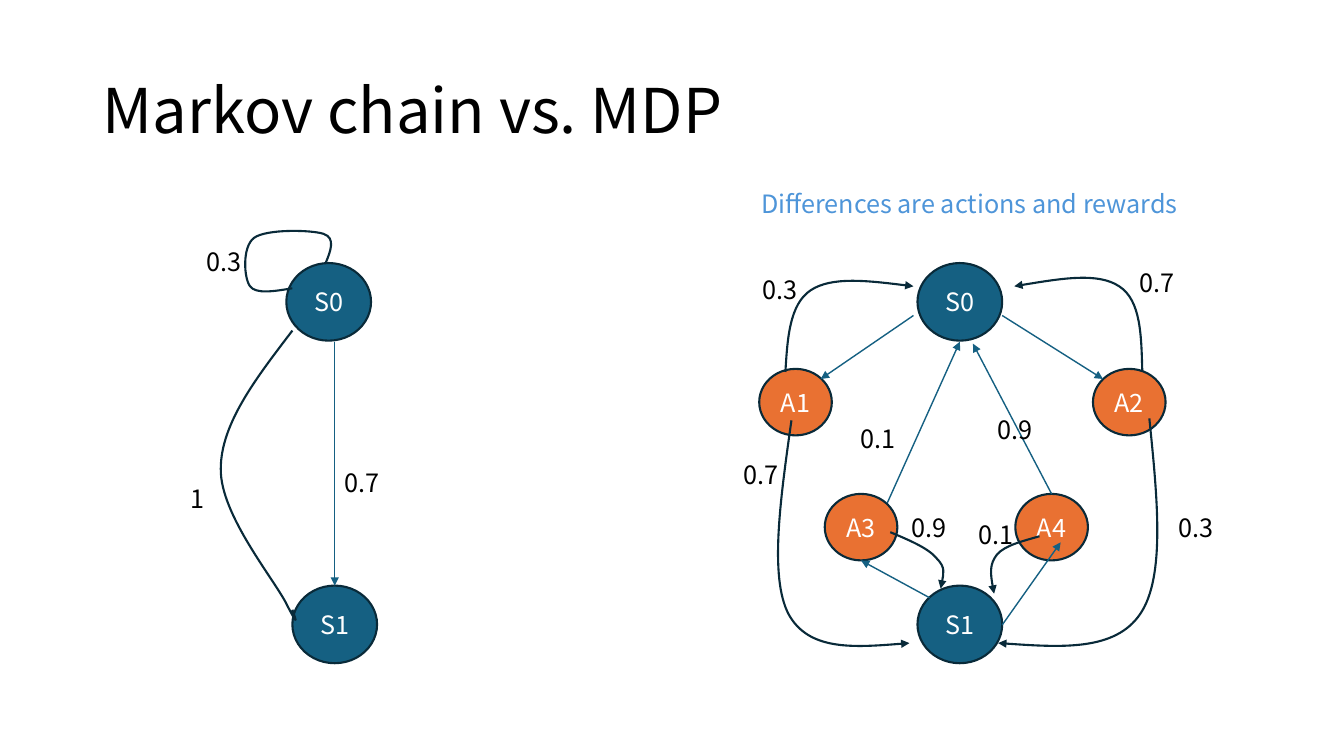
"""Builds a slide that compares a Markov chain with a Markov decision process."""
from lxml import etree
from pptx import Presentation
from pptx.dml.color import RGBColor
from pptx.enum import shapes, text
from pptx.oxml import ns
from pptx.util import Inches, Pt

FONT = "Noto Sans CJK KR"
COLORS = {"state": "156082", "action": "E97132", "outline": "092A39",
          "black": "000000", "white": "FFFFFF", "caption": "4E95D9"}
SIZES = {"state": (0.84, 0.77), "action": (0.72, 0.66)}


def write(shape, content, size=18, color="black", align=text.PP_ALIGN.CENTER,
          anchor=text.MSO_ANCHOR.MIDDLE, wrap=False, margin=0, spacing=1.0):
    frame = shape.text_frame
    frame.text = content
    frame.word_wrap = wrap
    frame.auto_size = text.MSO_AUTO_SIZE.NONE
    frame.vertical_anchor = anchor
    frame.margin_left = frame.margin_right = Inches(margin)
    frame.margin_top = frame.margin_bottom = Inches(margin / 2)
    paragraph = frame.paragraphs[0]
    paragraph.alignment = align
    paragraph.line_spacing = spacing
    font = paragraph.runs[0].font
    font.name, font.size = FONT, Pt(size)
    font.color.rgb = RGBColor.from_string(COLORS[color])


def style_line(shape, color, width, arrow=False):
    shape.line.color.rgb = RGBColor.from_string(COLORS[color])
    shape.line.width = Pt(width)
    properties = shape.element.spPr
    if arrow:
        etree.SubElement(properties.find(ns.qn("a:ln")), ns.qn("a:tailEnd"), type="triangle")
    etree.SubElement(properties, ns.qn("a:effectLst"))


presentation = Presentation()
presentation.slide_width = Inches(13.33)
presentation.slide_height = Inches(7.5)
slide = presentation.slides.add_slide(presentation.slide_layouts[5])

title = slide.shapes.title
title.left, title.top, title.width, title.height = map(Inches, (0.92, 0.4, 11.5, 1.45))
write(title, "Markov chain vs. MDP", size=44, align=text.PP_ALIGN.LEFT,
      wrap=True, margin=0.1, spacing=0.9)

nodes = {}
for group, name, kind, left, top in [
    ("chain", "S0", "state", 2.84, 2.61),
    ("chain", "S1", "state", 2.9, 5.81),
    ("mdp", "S0", "state", 9.1, 2.61),
    ("mdp", "A1", "action", 7.53, 3.66),
    ("mdp", "S1", "state", 9.1, 5.81),
    ("mdp", "A2", "action", 10.84, 3.66),
    ("mdp", "A4", "action", 10.07, 4.9),
    ("mdp", "A3", "action", 8.18, 4.9),
]:
    width, height = SIZES[kind]
    node = slide.shapes.add_shape(shapes.MSO_SHAPE.OVAL, Inches(left), Inches(top),
                                  Inches(width), Inches(height))
    node.fill.solid()
    node.fill.fore_color.rgb = RGBColor.from_string(COLORS[kind])
    style_line(node, "outline", 1.5)
    write(node, name, color="white")
    nodes[group, name] = node

for start, end, start_node, end_node in [
    ((3.32, 3.39), (3.32, 5.81), None, ("chain", "S1")),
    ((9.06, 3.13), (8.14, 3.76), None, None),
    ((9.94, 3.13), (10.94, 3.76), None, None),
    ((8.8, 4.99), (9.52, 3.39), None, None),
    ((10.43, 4.9), (9.65, 3.41), ("mdp", "A4"), None),
    ((9.22, 5.93), (8.54, 5.56), None, None),
    ((9.94, 6.2), (10.52, 5.38), None, None),
]:
    connector = slide.shapes.add_connector(shapes.MSO_CONNECTOR.STRAIGHT,
                                           *map(Inches, start + end))
    if start_node:
        connector.begin_connect(nodes[start_node], 0)
    if end_node:
        connector.end_connect(nodes[end_node], 0)
    style_line(connector, "state", 1, arrow=True)

curves = [
    (False, [(2.9, 6.05), (2.93, 6.14), (2.97, 6.24), (2.85, 6.01), (2.74, 5.77),
             (2.18, 5.11), (2.19, 4.65), (2.19, 4.2), (2.55, 3.74), (2.9, 3.28)]),
    (False, [(2.9, 2.86), (2.72, 2.89), (2.54, 2.92), (2.48, 2.84), (2.42, 2.76),
             (2.4, 2.45), (2.52, 2.36), (2.64, 2.27), (3.09, 2.28), (3.21, 2.32),
             (3.33, 2.36), (3.28, 2.49), (3.23, 2.61)]),
    (True, [(7.79, 3.69), (7.81, 3.36), (7.83, 3.02), (8.04, 2.88),
            (8.25, 2.74), (8.66, 2.79), (9.06, 2.84)]),
    (True, [(11.33, 3.69), (11.32, 3.34), (11.32, 2.98), (11.1, 2.84),
            (10.89, 2.7), (10.48, 2.77), (10.06, 2.84)]),
    (True, [(11.4, 4.15), (11.48, 4.94), (11.56, 5.72), (11.31, 6.09),
            (11.06, 6.46), (10.48, 6.42), (9.9, 6.38)]),
    (True, [(7.85, 4.17), (7.74, 4.95), (7.63, 5.72), (7.82, 6.09),
            (8.02, 6.46), (8.52, 6.42), (9.02, 6.38)]),
    (True, [(8.83, 5.28), (9.02, 5.36), (9.21, 5.44), (9.29, 5.54),
            (9.38, 5.63), (9.35, 5.74), (9.33, 5.84)]),
    (True, [(10.31, 5.32), (10.14, 5.37), (9.97, 5.41), (9.89, 5.5),
            (9.81, 5.6), (9.83, 5.74), (9.86, 5.89)]),
]
for arrow, points in curves:
    start, *controls = [(Inches(x), Inches(y)) for x, y in points]
    builder = slide.shapes.build_freeform(*start)
    builder.add_line_segments(controls, close=False)
    curve = builder.convert_to_shape()
    curve.fill.background()
    style_line(curve, "outline", 1.5, arrow)
    outline = next(curve.element.iter(ns.qn("a:path")))
    segments = outline.findall(ns.qn("a:lnTo"))
    for index in range(0, len(segments), 3):
        bezier = etree.SubElement(outline, ns.qn("a:cubicBezTo"))
        for segment in segments[index:index + 3]:
            bezier.append(segment[0])
            outline.remove(segment)

for probability, left, top in [
    ("0.7", 3.34, 4.57), ("1", 1.71, 4.73), ("0.3", 1.97, 2.38),
    ("0.7", 7.3, 4.49), ("0.3", 7.49, 2.66), ("0.3", 11.61, 5.02),
    ("0.7", 11.23, 2.59), ("0.9", 9.82, 4.05), ("0.1", 8.46, 4.13),
    ("0.1", 9.63, 5.09), ("0.9", 8.96, 5.02),
]:
    label = slide.shapes.add_textbox(Inches(left), Inches(top), Inches(0.5), Inches(0.43))
    write(label, probability)

caption = slide.shapes.add_textbox(Inches(7.45), Inches(1.82), Inches(4.58), Inches(0.4))
write(caption, "Differences are actions and rewards", color="caption",
      align=text.PP_ALIGN.LEFT, anchor=text.MSO_ANCHOR.TOP, wrap=True, margin=0.1)

presentation.save("out.pptx")
